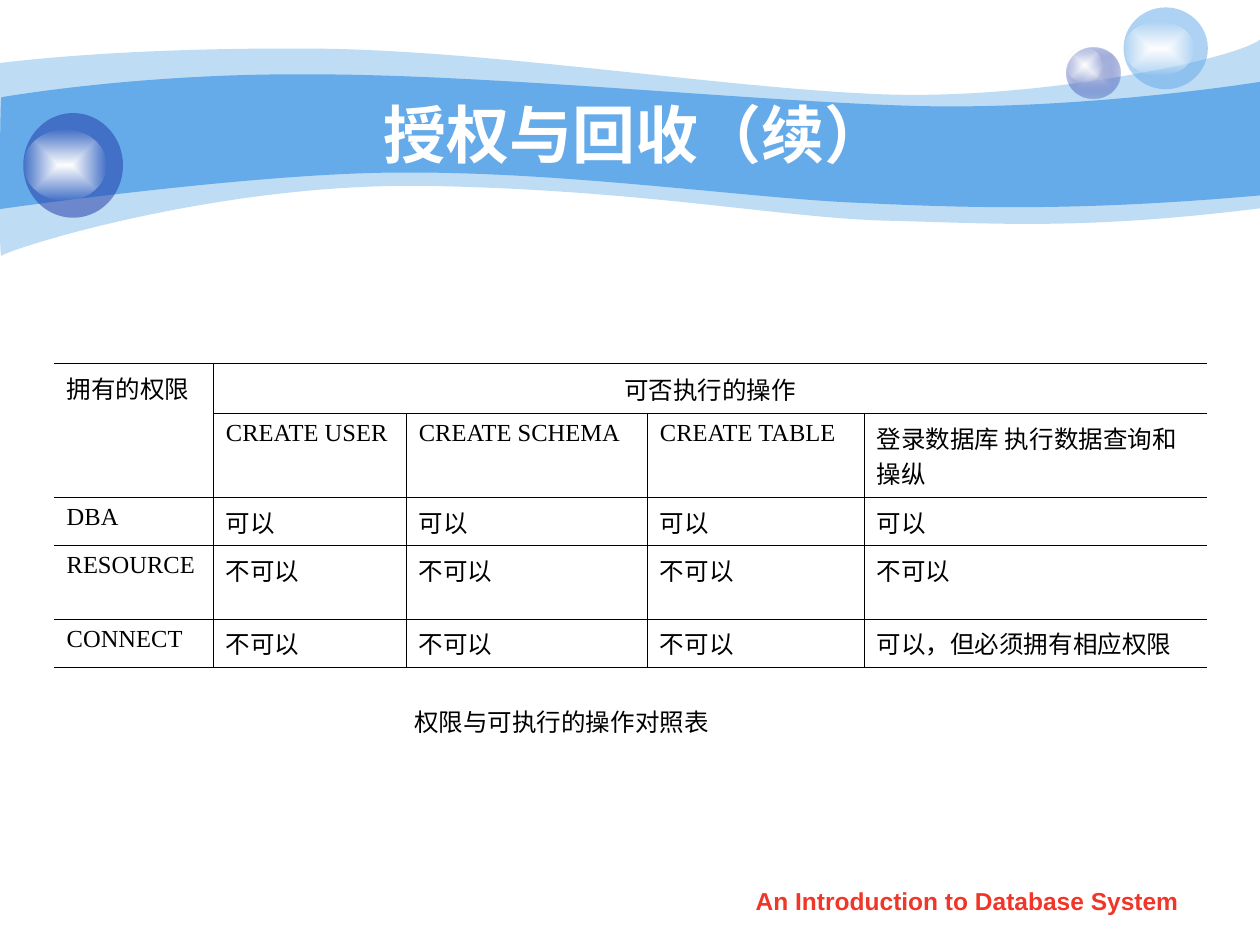
from collections import namedtuple
from lxml.etree import SubElement as Sub
from pptx import Presentation
from pptx.dml.color import RGBColor as RGB
from pptx.enum.shapes import MSO_SHAPE as Kind
from pptx.enum.text import MSO_ANCHOR as Anchor, MSO_AUTO_SIZE as Fit, PP_ALIGN as Align
from pptx.oxml import parse_xml
from pptx.oxml.ns import nsdecls, qn
from pptx.util import Cm, Pt

Theme = namedtuple("Theme", "sky navy lilac white red black head text thin thick")
look = Theme("65AAE9", "233DA9", "C7CEE9", "FFFFFF", "F03628", "000000", 36, 14, 0.45, 1.08)


def paint(shape, stops):
    """Fill with one (colour, alpha %) or a gradient from the centre; no line or shadow."""
    tones = [f'<a:srgbClr val="{c}"><a:alpha val="{a * 1000}"/></a:srgbClr>' for c, a in stops]
    if len(tones) == 1:
        xml = f'<a:solidFill {nsdecls("a")}>{tones[0]}</a:solidFill>'
    else:
        steps = "".join(f'<a:gs pos="{n * 100000}">{t}</a:gs>' for n, t in enumerate(tones))
        xml = (f'<a:gradFill {nsdecls("a")} rotWithShape="1"><a:gsLst>{steps}</a:gsLst>'
               '<a:path path="rect"><a:fillToRect l="50000" t="50000" r="50000" b="50000"/>'
               '</a:path></a:gradFill>')
    shape.element.spPr.append(parse_xml(xml))
    shape.line.fill.background()
    shape.shadow.inherit = False


def write(frame, text, name, size, color, bold=False, align=Align.LEFT):
    para = frame.paragraphs[0]
    para.alignment = align
    run = para.add_run()
    run.text = text
    for key, val in {"name": name, "size": Pt(size), "bold": bold}.items():
        setattr(run.font, key, val)
    run.font.color.rgb = RGB.from_string(color)


deck = Presentation()
deck.slide_width, deck.slide_height = Cm(25.4), Cm(19.05)
slide = deck.slides.add_slide(deck.slide_layouts[5])
shapes = slide.shapes

# Waves: top edge of three curves, one straight side, then four curves back, in cm
waves = [
    (41, [(0, 1.27), (0.6, 1.2), (2.7, 0.96), (6.27, 0.98), (9.8, 1), (14.6, 1.78),
          (17.75, 1.9), (20.88, 2.03), (24.9, 1.2), (25.4, 0.8),
          (25.4, 4.2), (21.8, 4.65), (20, 4.5), (17.9, 4.45), (15.8, 4.4), (13.08, 3.84),
          (8.71, 3.75), (4.37, 3.66), (0.1, 5.05), (0.03, 5.16),
          (-0.03, 5.28), (0, 1.9), (0, 1.27)]),
    (100, [(0.03, 1.96), (0.05, 1.96), (2.79, 1.47), (6.3, 1.5), (9.8, 1.5), (15.11, 2.03),
           (18.24, 2.13), (21.36, 2.24), (24.79, 1.75), (25.4, 1.65),
           (25.4, 3.94), (21.67, 4.27), (19.43, 4.19), (17.32, 4.09), (15.21, 4.01),
           (11.35, 3.45), (8.05, 3.48), (5.16, 3.48), (-0.05, 4.22), (-0.03, 4.22),
           (0, 4.22), (0, 1.96), (0.03, 1.96)]),
]
for alpha, dots in waves:
    dots = [(Cm(x), Cm(y)) for x, y in dots]
    pen = shapes.build_freeform(*dots[0])
    pen.add_line_segments(dots[1:], close=True)
    wave = pen.convert_to_shape()
    # Turn each three points into one Bezier curve, leaving the straight side
    lines = list(wave.element.iter(qn("a:lnTo")))
    for n in [0, 3, 6, 10, 13, 16, 19]:
        curve = Sub(lines[n].getparent(), qn("a:cubicBezTo"))
        lines[n].addprevious(curve)
        for line in lines[n:n + 3]:
            curve.append(line[0])
            line.getparent().remove(line)
    paint(wave, [(look.sky, alpha)])

# Bubbles, each grouped with its white glow
glow = [(look.white, 100), (look.white, 0)]
balls = [
    ((21.51, 0.97, 1.07, 1.02), [(look.lilac, 100), (look.navy, 31)], (21.51, 0.97, 0.71, 0.69)),
    ((22.65, 0.15, 1.7, 1.65), [(look.sky, 53)], (22.65, 0.43, 1.42, 1.09)),
    ((0.47, 2.28, 2.01, 2.11), [(look.navy, 53)], (0.47, 2.62, 1.68, 1.42)),
]
for ball, stops, shine in balls:
    group = shapes.add_group_shape()
    for box, fill in ((ball, stops), (shine, glow)):
        paint(group.shapes.add_shape(Kind.OVAL, *map(Cm, box)), fill)

# Footer
foot = shapes.add_textbox(Cm(14.5), Cm(17.73), Cm(10), Cm(0.89)).text_frame
foot.word_wrap = True
write(foot, "An Introduction to Database System", "Arial", look.text, look.red, True, Align.CENTER)

# Title, brought in front of the waves
title = shapes.title
shapes.element.append(title.element)
for key, val in {"left": 2.55, "top": 1.9, "width": 20.52, "height": 1.57}.items():
    setattr(title, key, Cm(val))
title.text_frame.auto_size = Fit.NONE
title.text_frame.vertical_anchor = Anchor.MIDDLE
write(title.text_frame, "授权与回收（续）", "Arial", look.head, look.white, True, Align.CENTER)

# Table of rights
rows = [
    ["拥有的权限", "可否执行的操作", "", "", ""],
    ["", "CREATE USER", "CREATE SCHEMA", "CREATE TABLE", "登录数据库 执行数据查询和操纵"],
    ["DBA"] + ["可以"] * 4,
    ["RESOURCE"] + ["不可以"] * 4,
    ["CONNECT"] + ["不可以"] * 3 + ["可以，但必须拥有相应权限"],
]
wide = [3.21, 3.89, 4.86, 4.37, 6.91]
high = [1, 1.45, 0.94, 1.48, 0.94]
grid = shapes.add_table(5, 5, Cm(1.09), Cm(7.33), Cm(sum(wide)), Cm(sum(high))).table
grid.first_row = grid.horz_banding = False
for col, size in zip(grid.columns, wide):
    col.width = Cm(size)
for row, size in zip(grid.rows, high):
    row.height = Cm(size)
grid.cell(0, 0).merge(grid.cell(1, 0))
grid.cell(0, 1).merge(grid.cell(0, 4))

for r, row in enumerate(rows):
    for c, text in enumerate(row):
        cell = grid.cell(r, c)
        cell.fill.background()
        # The sides stay open, and merged cells have no inner lines
        rules = {
            "L": look.thin if c > 0 and not (r == 0 and c > 1) else 0,
            "R": look.thin if c < 4 and not (r == 0 and c > 0) else 0,
            "T": look.thick if r == 0 else 0 if (r, c) == (1, 0) else look.thin,
            "B": look.thick if r == 4 else look.thin,
        }
        props = cell.fill and grid.cell(r, c)._tc.find(qn("a:tcPr"))
        for n, (side, size) in enumerate(rules.items()):
            ink = f'<a:solidFill><a:srgbClr val="{look.black}"/></a:solidFill>' if size else "<a:noFill/>"
            props.insert(n, parse_xml(
                f'<a:ln{side} {nsdecls("a")} w="{Pt(size)}">{ink}</a:ln{side}>'))
        if text:
            top = (r, c) == (0, 1)
            cell.vertical_anchor = Anchor.MIDDLE if top else Anchor.TOP
            write(cell.text_frame, text, "Times New Roman", look.text, look.black,
                  align=Align.CENTER if top else Align.LEFT)

# Caption
note = shapes.add_textbox(Cm(8.1), Cm(14.12), Cm(6.55), Cm(0.86)).text_frame
note.word_wrap = False
note.auto_size = Fit.SHAPE_TO_FIT_TEXT
note.vertical_anchor = Anchor.MIDDLE
write(note, "权限与可执行的操作对照表", "Times New Roman", look.text, look.black)

deck.save("out.pptx")
